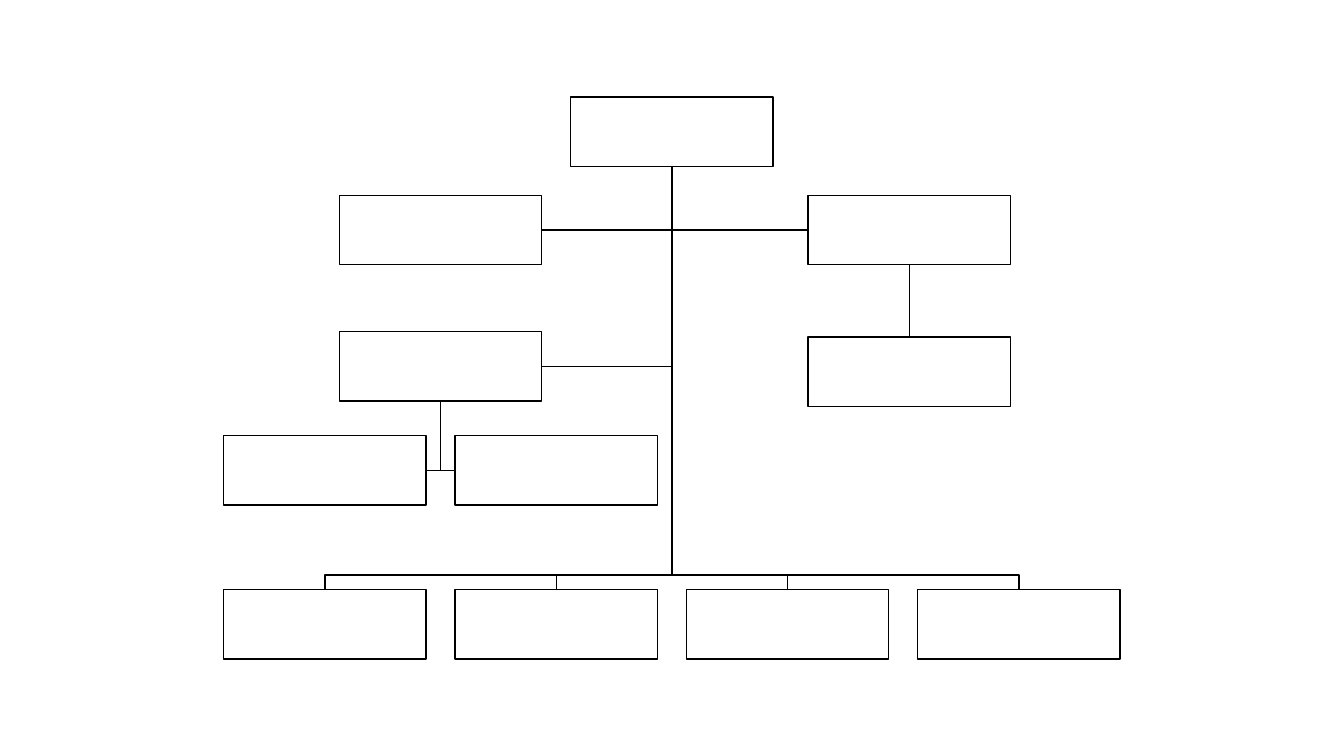
from pptx import Presentation
from pptx.dml.color import RGBColor
from pptx.enum.shapes import MSO_CONNECTOR, MSO_SHAPE
from pptx.oxml.ns import qn
from pptx.util import Cm, Pt
from lxml import etree

RECTANGLE = MSO_SHAPE.RECTANGLE
STRAIGHT = MSO_CONNECTOR.STRAIGHT
TOP, BOTTOM = 0, 2
BLACK, WHITE = "000000", "FFFFFF"

# Chart measures in centimetres
BOX_WIDTH, BOX_HEIGHT = 5.1, 1.75
COLUMN_PITCH = 5.83
BUS_GAP = 0.37


def color(value):
    return RGBColor.from_string(value)


def style_line(line):
    line.color.rgb = color(BLACK)
    line.width = Pt(1)


def add_box(slide, center, top):
    shape = slide.shapes.add_shape(
        RECTANGLE, Cm(center - BOX_WIDTH / 2), Cm(top), Cm(BOX_WIDTH), Cm(BOX_HEIGHT))
    shape.shadow.inherit = False
    shape.fill.solid()
    shape.fill.fore_color.rgb = color(WHITE)
    style_line(shape.line)
    return shape


def add_branch(slide, points):
    start, *others = [(Cm(x), Cm(y)) for x, y in points]
    builder = slide.shapes.build_freeform(*start)
    builder.add_line_segments(others, close=False)
    shape = builder.convert_to_shape()
    shape.shadow.inherit = False
    shape.fill.background()
    style_line(shape.line)


def add_link(slide, upper, lower):
    connector = slide.shapes.add_connector(STRAIGHT, 0, 0, 0, 0)
    connector.begin_connect(upper, BOTTOM)
    connector.end_connect(lower, TOP)
    style_line(connector.line)
    etree.SubElement(connector._element.spPr, qn("a:effectLst"))


def add_organization_chart(slide, left, top, width):
    middle = left + width / 2
    columns = [middle + (index - 1.5) * COLUMN_PITCH for index in range(4)]
    left_staff, right_staff = middle - COLUMN_PITCH, middle + 5.98
    staff_top, assistant_top, deputy_top = top + 2.47, top + 6.04, top + 5.91
    pair_top, bottom_top = top + 8.53, top + 12.41
    root_bottom = top + BOX_HEIGHT
    half_width, half_height = BOX_WIDTH / 2, BOX_HEIGHT / 2

    # Side branches: down from the parent, then across to the near side of the box
    side_branches = [
        (left_staff, deputy_top + BOX_HEIGHT, columns[1] - half_width, pair_top),
        (left_staff, deputy_top + BOX_HEIGHT, columns[0] + half_width, pair_top),
        (middle, root_bottom, left_staff + half_width, deputy_top),
        (middle, root_bottom, right_staff - half_width, staff_top),
        (middle, root_bottom, left_staff + half_width, staff_top),
    ]
    for stem, start, side, box_top in side_branches:
        level = box_top + half_height
        add_branch(slide, [(stem, start), (stem, level), (side, level)])

    # Branches to the bottom row
    bus = bottom_top - BUS_GAP
    for column in reversed(columns):
        add_branch(slide, [(middle, root_bottom), (middle, bus),
                           (column, bus), (column, bottom_top)])

    # Boxes
    add_box(slide, middle, top)
    for column in columns:
        add_box(slide, column, bottom_top)
    add_box(slide, left_staff, staff_top)
    staff = add_box(slide, right_staff, staff_top)
    assistant = add_box(slide, right_staff, assistant_top)
    add_box(slide, left_staff, deputy_top)
    for column in columns[:2]:
        add_box(slide, column, pair_top)

    # Link between the two boxes on the right
    add_link(slide, staff, assistant)


def main():
    presentation = Presentation()
    presentation.slide_width = Cm(33.87)
    presentation.slide_height = Cm(19.05)
    slide = presentation.slides.add_slide(presentation.slide_layouts[6])
    slide.background.fill.solid()
    slide.background.fill.fore_color.rgb = color(WHITE)
    add_organization_chart(slide, left=5.64, top=2.45, width=22.59)
    presentation.save("out.pptx")


if __name__ == "__main__":
    main()
